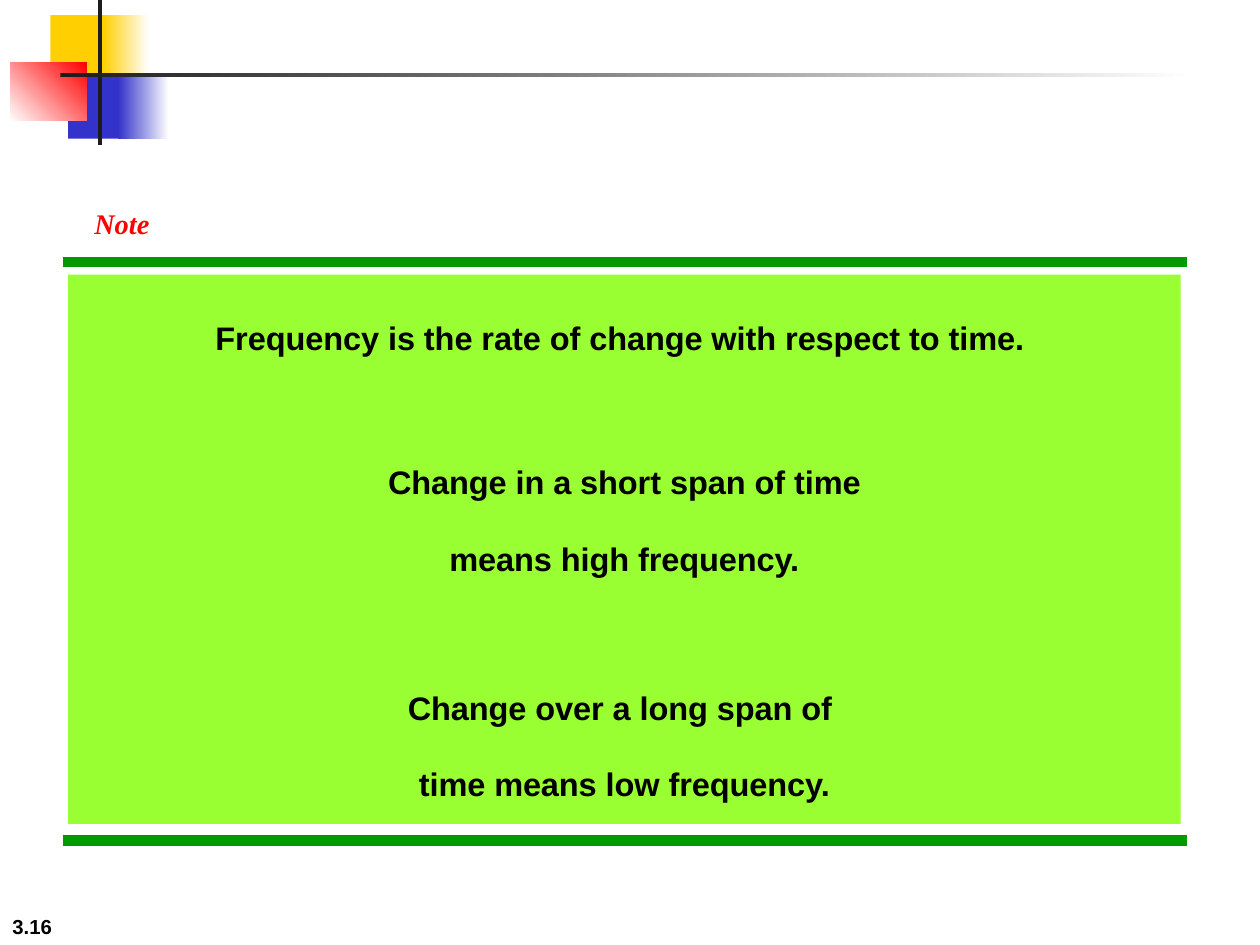
from pptx import Presentation
from pptx.dml.color import RGBColor
from pptx.enum import shapes, text
from pptx.oxml.ns import qn
from pptx.util import Inches, Pt
from lxml import etree

COLORS = {
    "black": "000000", "white": "FFFFFF", "yellow": "FFCF01",
    "blue": "3333CC", "red": "FF0000", "dark": "1C1C1C",
    "rule": "009900", "panel": "99FF33",
}

# Corner ornament: box, colours (two make a gradient), gradient angle
ORNAMENT = [
    ((0.4, 0.12, 0.48, 0.52), ["yellow"], 0),
    ((0.82, 0.12, 0.36, 0.52), ["yellow", "white"], 0),
    ((0.54, 0.58, 0.46, 0.52), ["blue"], 0),
    ((0.94, 0.58, 0.4, 0.52), ["blue", "white"], 0),
    ((0.08, 0.5, 0.61, 0.46), ["white", "red"], 45),
    ((0.78, 0, 0.03, 1.15), ["dark"], 0),
    ((0.48, 0.58, 9, 0.03), ["dark", "white"], 0),
]
RULE_LEFT, RULE_RIGHT, RULE_TOPS = 0.5, 9.42, (2.08, 6.67)
PANEL_BOX = (0.54, 2.18, 8.83, 4.36)

# Statements: text, space before in points
STATEMENTS = [
    ("Frequency is the rate of change with respect to time. ", 0),
    ("Change in a short span of time\vmeans high frequency.", 38.5),
    ("Change over a long span of \vtime means low frequency.", 41.5),
]


def rgb(name):
    return RGBColor.from_string(COLORS[name])


def add_rect(s, box, colors, angle=0):
    sp = s.shapes.add_shape(shapes.MSO_SHAPE.RECTANGLE, *map(Inches, box))
    sp.shadow.inherit = False
    sp.line.fill.background()
    if len(colors) == 1:
        sp.fill.solid()
        sp.fill.fore_color.rgb = rgb(colors[0])
    else:
        sp.fill.gradient()
        sp.fill.gradient_angle = angle
        for stop, name in zip(sp.fill.gradient_stops, colors):
            stop.color.rgb = rgb(name)
    return sp


def add_rule(s, top):
    ends = map(Inches, (RULE_LEFT, top, RULE_RIGHT, top))
    rule = s.shapes.add_connector(shapes.MSO_CONNECTOR.STRAIGHT, *ends)
    rule.line.color.rgb = rgb("rule")
    rule.line.width = Pt(6)
    etree.SubElement(rule._element.spPr, qn("a:effectLst"))


def write(p, words, size, font="Arial", color="black", italic=False):
    p.text = words
    p.font.name, p.font.size = font, Pt(size)
    p.font.bold, p.font.italic = True, italic
    p.font.color.rgb = rgb(color)
    for r in p.runs:  # lowered text, drawn as subscript
        r._r.get_or_add_rPr().set("baseline", "-25000")


def add_label(s, box, words, size, anchor, wrap=True, **style):
    tf = s.shapes.add_textbox(*map(Inches, box)).text_frame
    tf.word_wrap = wrap
    tf.vertical_anchor = anchor
    write(tf.paragraphs[0], words, size, **style)


def main():
    prs = Presentation()
    prs.slide_width, prs.slide_height = Inches(10), Inches(7.5)
    s = prs.slides.add_slide(prs.slide_layouts[6])

    # Page number
    add_label(s, (0, 7, 2.08, 0.5), "3.16", 20, text.MSO_ANCHOR.BOTTOM)

    # Corner ornament and rules
    for box, colors, angle in ORNAMENT:
        add_rect(s, box, colors, angle)
    for top in RULE_TOPS:
        add_rule(s, top)

    # Statement panel
    tf = add_rect(s, PANEL_BOX, ["panel"]).text_frame
    tf.word_wrap = True
    tf.vertical_anchor = text.MSO_ANCHOR.TOP
    for i, (words, gap) in enumerate(STATEMENTS):
        p = tf.add_paragraph() if i else tf.paragraphs[0]
        p.alignment = text.PP_ALIGN.CENTER
        p.space_before = Pt(gap)
        write(p, words, 32)

    # Heading
    add_label(s, (0.65, 1.33, 0.96, 0.57), "Note", 28, text.MSO_ANCHOR.TOP,
              wrap=False, font="Times New Roman", color="red", italic=True)

    prs.save("out.pptx")


if __name__ == "__main__":
    main()
